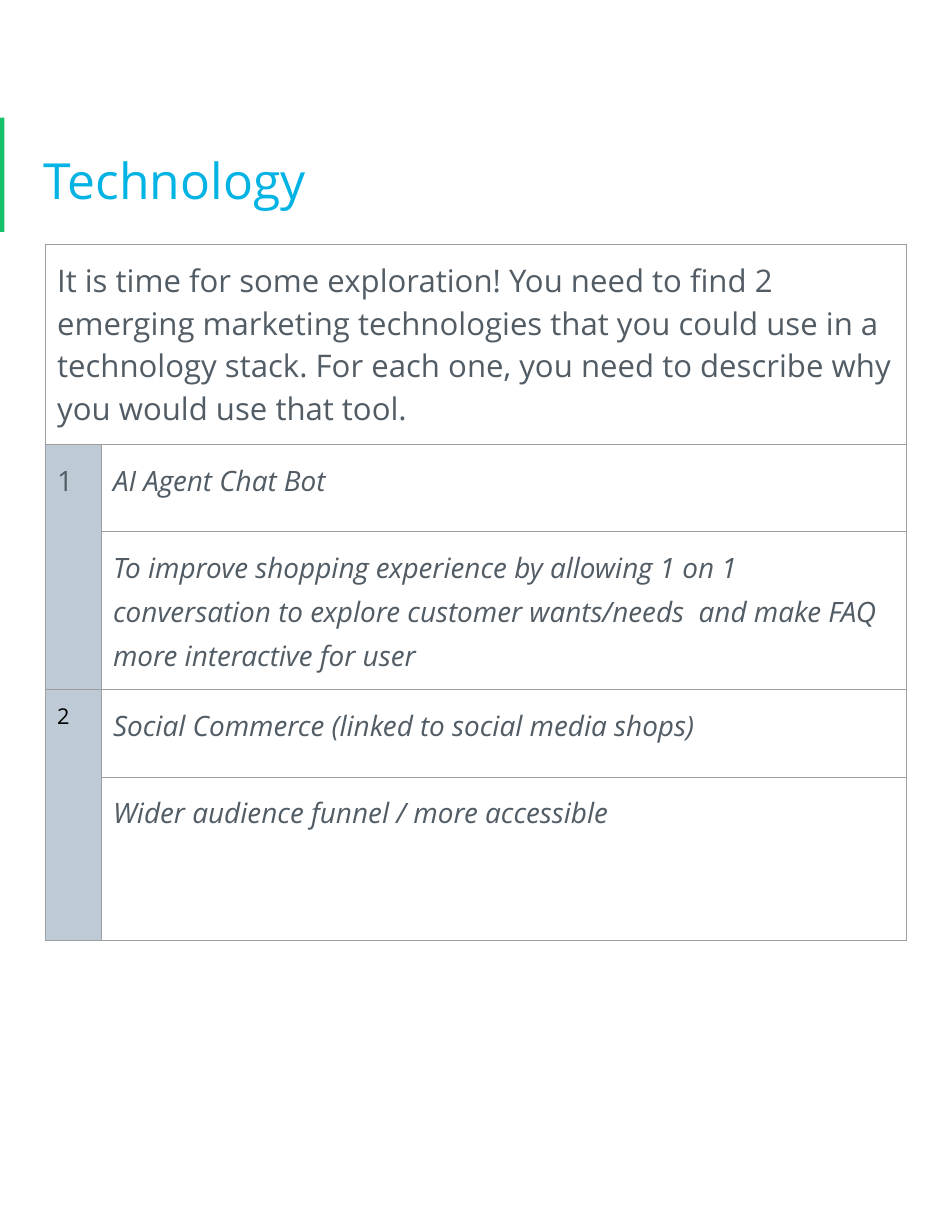
import pptx
import pptx.util
import pptx.dml.color
import pptx.enum.shapes
import pptx.enum.text
import pptx.oxml
import pptx.oxml.ns
import lxml.etree

Inches = pptx.util.Inches
ANCHOR = pptx.enum.text.MSO_ANCHOR
FONT = "Open Sans"
GREEN, BLUE, SLATE, BLACK = "15C26B", "02B3E4", "525C65", "000000"
NUMBER_FILL, BORDER = "BECBD6", "9E9E9E"

INTRODUCTION = (
    "It is time for some exploration! You need to find 2 emerging marketing "
    "technologies that you could use in a technology stack. For each one, you "
    "need to describe why you would use that tool."
)
# Number, format of the number, tool, reason for using it
TOOLS = [
    ("1", dict(size=18, line_spacing=1.15, space_after=16), "AI Agent Chat Bot",
     "To improve shopping experience by allowing 1 on 1 conversation to explore "
     "customer wants/needs  and make FAQ more interactive for user"),
    ("2", dict(size=14, color=BLACK),
     "Social Commerce (linked to social media shops)",
     "Wider audience funnel / more accessible"),
]


def rgb(color):
    return pptx.dml.color.RGBColor.from_string(color)


def write_text(frame, text, size=18, color=SLATE, italic=False,
               line_spacing=1.0, space_after=0):
    paragraph = frame.paragraphs[0]
    paragraph.alignment = pptx.enum.text.PP_ALIGN.LEFT
    paragraph.line_spacing = line_spacing
    paragraph.space_before = pptx.util.Pt(0)
    paragraph.space_after = pptx.util.Pt(space_after)
    run = paragraph.add_run()
    run.text = text
    run.font.name = FONT
    run.font.size = pptx.util.Pt(size)
    run.font.italic = italic
    run.font.color.rgb = rgb(color)


def set_margins(item):
    item.margin_left = item.margin_right = Inches(0.1)
    item.margin_top = item.margin_bottom = Inches(0.1)


def set_borders(cell, color, width):
    properties = cell._tc.get_or_add_tcPr()
    for index, side in enumerate(("lnL", "lnR", "lnT", "lnB")):
        line = pptx.oxml.parse_xml(
            f'<a:{side} {pptx.oxml.ns.nsdecls("a")} w="{pptx.util.Pt(width)}">'
            f'<a:solidFill><a:srgbClr val="{color}"/></a:solidFill></a:{side}>')
        properties.insert(index, line)


def add_accent_bar(slide, left, top, width, height):
    bar = slide.shapes.add_shape(
        pptx.enum.shapes.MSO_SHAPE.RECTANGLE, left, top, width, height)
    bar.shadow.inherit = False
    bar.fill.solid()
    bar.fill.fore_color.rgb = rgb(GREEN)
    bar.line.fill.background()


def place_title(slide, left, top, width, height):
    title = slide.shapes.title
    title.left, title.top, title.width, title.height = left, top, width, height
    frame = title.text_frame
    frame.word_wrap = True
    frame.auto_size = pptx.enum.text.MSO_AUTO_SIZE.NONE
    frame.vertical_anchor = ANCHOR.MIDDLE
    set_margins(frame)
    write_text(frame, "Technology", size=32, color=BLUE, line_spacing=1.15)


def add_tool_table(slide, left, top, column_widths, row_heights):
    table = slide.shapes.add_table(
        len(row_heights), len(column_widths), left, top,
        sum(column_widths), sum(row_heights)).table
    table.first_row = table.horz_banding = False
    for column, width in zip(table.columns, column_widths):
        column.width = width
    for row, height in zip(table.rows, row_heights):
        row.height = height

    # Introduction across both columns
    introduction = table.cell(0, 0)
    introduction.merge(table.cell(0, 1))
    introduction.vertical_anchor = ANCHOR.MIDDLE
    write_text(introduction.text_frame, INTRODUCTION, size=20, space_after=16)

    # Two rows for each tool, beside a merged number cell
    for index, (number, number_format, *answers) in enumerate(TOOLS):
        first = 1 + 2 * index
        table.cell(first, 0).merge(table.cell(first + 1, 0))
        write_text(table.cell(first, 0).text_frame, number, **number_format)
        for offset, answer in enumerate(answers):
            write_text(table.cell(first + offset, 1).text_frame, answer,
                       italic=True, line_spacing=1.15, space_after=16)

    # Fills, margins and borders
    for row_index in range(len(row_heights)):
        for column_index in range(len(column_widths)):
            cell = table.cell(row_index, column_index)
            set_margins(cell)
            if row_index > 0 and column_index == 0:
                cell.fill.solid()
                cell.fill.fore_color.rgb = rgb(NUMBER_FILL)
            else:
                cell.fill.background()
            set_borders(cell, BORDER, 0.75)


def main():
    presentation = pptx.Presentation()
    presentation.slide_width = Inches(8.5)
    presentation.slide_height = Inches(11)
    slide = presentation.slides.add_slide(presentation.slide_layouts[5])
    add_accent_bar(slide, Inches(0), Inches(1.05), Inches(0.04), Inches(1.02))
    place_title(slide, Inches(0.29), Inches(0.95), Inches(7.92), Inches(1.22))
    add_tool_table(slide, Inches(0.41), Inches(2.18),
                   [Inches(width) for width in (0.5, 7.18)],
                   [Inches(height) for height in (1.79, 0.78, 1.41, 0.78, 1.46)])
    presentation.save("out.pptx")


if __name__ == "__main__":
    main()
